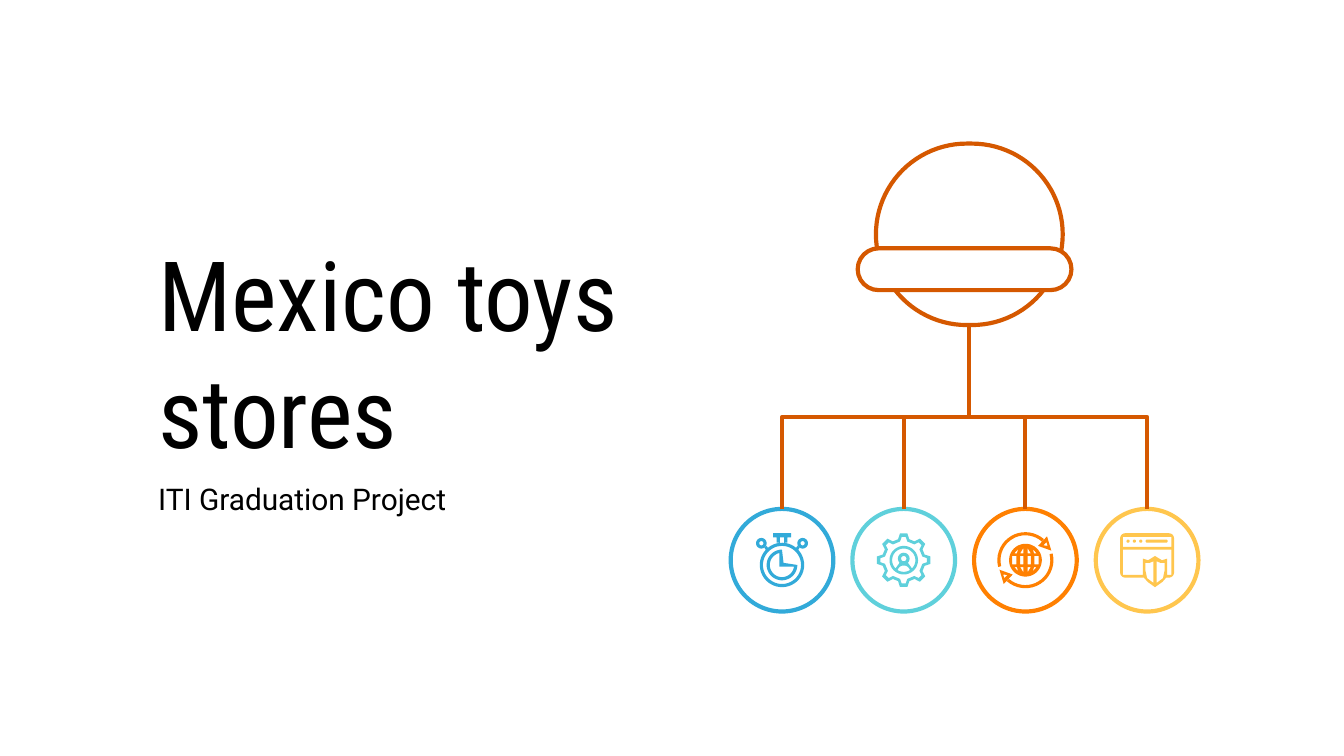
from dataclasses import dataclass
from itertools import product
from math import cos, radians, sin

from lxml.etree import SubElement
from pptx import Presentation
from pptx.dml.color import RGBColor
from pptx.enum.shapes import MSO_CONNECTOR, MSO_SHAPE
from pptx.enum.text import MSO_ANCHOR
from pptx.oxml.ns import qn
from pptx.util import Cm, Pt


@dataclass(frozen=True)
class Theme:
    ink: str = "000000"
    paper: str = "FFFFFF"
    root: str = "D55800"
    time: str = "32AAD9"
    gear: str = "5FD0DB"
    world: str = "FF8001"
    safety: str = "FFC64E"
    title_font: str = "Roboto Condensed"
    body_font: str = "Roboto"
    title_size: int = 52
    body_size: int = 16
    stroke: float = 2.25


def arc(cx, cy, radius, start=0, end=360):
    steps = max(4, round(abs(end - start) / 8))
    angles = [radians(start + (end - start) * i / steps) for i in range(steps + 1)]
    return [(cx + radius * cos(a), cy + radius * sin(a)) for a in angles]


def box(left, top, right, bottom):
    return [(left, top), (right, top), (right, bottom), (left, bottom)]


def cog(tip, tip_half, root, root_half):
    return [
        (r * cos(radians(tooth + turn)), r * sin(radians(tooth + turn)))
        for tooth in range(0, 360, 45)
        for r, turn in ((root, -root_half), (tip, -tip_half), (tip, tip_half), (root, root_half))
    ]


def flip(contour, sx=1, sy=1, dx=0):
    return [(sx * x + dx, sy * y) for x, y in contour]


def stopwatch():
    case = [arc(0, 0.09, 0.42), arc(0, 0.09, 0.36), box(-0.17, -0.51, 0.17, -0.43)]
    side = [
        arc(0.39, -0.32, 0.1),
        arc(0.39, -0.32, 0.04),
        [(0.29, -0.27), (0.33, -0.23), (0.31, -0.2), (0.27, -0.24)],
        box(0.04, -0.43, 0.1, -0.33),
    ]
    case += [flip(part, sx) for sx in (1, -1) for part in side]
    dial = [
        arc(0, 0.09, 0.29, 0, 270) + [(0.03, 0.05)],
        arc(0, 0.09, 0.23, 8, 258) + [(-0.05, 0.12)],
    ]
    return [case, dial]


def person_in_cog():
    person = [
        arc(0, 0, 0.27),
        arc(0, -0.03, 0.05),
        arc(0, 0, 0.22, 135, 405) + arc(0, -0.03, 0.11, 405, 135),
        arc(0, 0, 0.22, 55, 125) + arc(0, 0.22, 0.12, 200, 340),
    ]
    return [person, [cog(0.51, 8, 0.41, 15), cog(0.44, 5, 0.36, 11)]]


def globe_in_arrows():
    arrow = [
        arc(0, 0, 0.53, 166, 311) + arc(0, 0, 0.47, 311, 166),
        [(0.41, -0.45), (0.49, -0.18), (0.24, -0.27)],
        [(0.4, -0.34), (0.42, -0.27), (0.34, -0.28)],
    ]
    caps = [
        [(0.04, -0.23), (0.1, -0.13), (0.04, -0.13)],
        [(0.14, -0.21), (0.21, -0.13), (0.16, -0.13)],
    ]
    rows = [box(0.04, -0.08, 0.1, 0.08), box(0.17, -0.08, 0.25, 0.08)]
    globe = [arc(0, 0, 0.31)]
    globe += [flip(cap, sx, sy) for sx, sy in product((1, -1), repeat=2) for cap in caps]
    globe += [flip(cell, sx) for sx in (1, -1) for cell in rows]
    return [arrow, [flip(part, -1, -1) for part in arrow], globe]


def shielded_window():
    frame = (
        arc(-0.41, -0.41, 0.1, 180, 270)
        + arc(0.41, -0.41, 0.1, 270, 360)
        + arc(0.41, 0.23, 0.1, 0, 90)
        + [(0.36, 0.33), (0.29, 0.41), (0.15, 0.51), (0.01, 0.41), (-0.06, 0.33)]
        + arc(-0.41, 0.23, 0.1, 90, 180)
    )
    page = [
        (0.46, -0.2), (0.46, 0.28), (0.38, 0.28), (0.38, -0.03), (0.28, 0), (0.15, -0.08),
        (0.02, 0), (-0.08, -0.03), (-0.08, 0.28), (-0.46, 0.28), (-0.46, -0.2),
    ]
    half = [(0.12, 0.02), (0.12, 0.43), (0, 0.34), (-0.03, 0.2), (-0.03, 0.05), (0.05, 0.05)]
    return [[frame, box(-0.46, -0.44, 0.46, -0.25), page, half, flip(half, -1, dx=0.3)]]


class Deck:
    def __init__(self, theme):
        self.theme = theme
        self.deck = Presentation()
        self.deck.slide_width, self.deck.slide_height = Cm(25.4), Cm(14.29)
        self.slide = self.deck.slides.add_slide(self.deck.slide_layouts[6])

    def paint(self, shape, fill, line=None):
        shape.shadow.inherit = False
        shape.fill.solid()
        shape.fill.fore_color.rgb = RGBColor.from_string(fill)
        if line:
            shape.line.color.rgb = RGBColor.from_string(line)
            shape.line.width = Pt(self.theme.stroke)
        else:
            shape.line.fill.background()

    def text(self, left, top, width, height, words, font, size, anchor):
        frame = self.slide.shapes.add_textbox(Cm(left), Cm(top), Cm(width), Cm(height)).text_frame
        frame.word_wrap = True
        frame.vertical_anchor = anchor
        frame.margin_left = frame.margin_right = frame.margin_top = frame.margin_bottom = Cm(0.25)
        paragraph = frame.paragraphs[0]
        run = paragraph.add_run()
        run.text = words
        run.font.name, run.font.size = font, Pt(size)
        run.font.color.rgb = RGBColor.from_string(self.theme.ink)
        return paragraph

    def preset(self, kind, cx, cy, width, height, fill, line=None):
        shape = self.slide.shapes.add_shape(
            kind, Cm(cx - width / 2), Cm(cy - height / 2), Cm(width), Cm(height))
        if kind == MSO_SHAPE.ROUNDED_RECTANGLE:
            shape.adjustments[0] = 0.5
        self.paint(shape, fill, line)
        return shape

    def outline(self, cx, cy, contours, fill):
        placed = [[(Cm(cx + x), Cm(cy + y)) for x, y in contour] for contour in contours]
        builder = self.slide.shapes.build_freeform(*placed[0][0])
        builder.add_line_segments(placed[0][1:], close=True)
        for contour in placed[1:]:
            builder.move_to(*contour[0])
            builder.add_line_segments(contour[1:], close=True)
        self.paint(builder.convert_to_shape(), fill)

    def branch(self, parent, child):
        x1, y1 = parent.left + parent.width // 2, parent.top + parent.height
        x2, y2 = child.left + child.width // 2, child.top
        link = self.slide.shapes.add_connector(MSO_CONNECTOR.ELBOW, x1, y1, x2, y2)
        link.begin_connect(parent, 2)
        link.end_connect(child, 0)
        link.width, link.height = y2 - y1, abs(x2 - x1)
        link.left = (x1 + x2 - link.width) // 2
        link.top = (y1 + y2 - link.height) // 2
        rightward = x2 > x1
        frame = link.element.spPr.find(qn("a:xfrm"))
        frame.set("rot", "16200000" if rightward else "5400000")
        frame.set("flipH", "1" if rightward else "0")
        link.line.color.rgb = RGBColor.from_string(self.theme.root)
        link.line.width = Pt(self.theme.stroke)
        SubElement(link.element.spPr, qn("a:effectLst"))


def main():
    theme = Theme()
    cover = Deck(theme)
    cover.text(2.74, 4.52, 9.5, 4.24, "Mexico toys stores",
               theme.title_font, theme.title_size, MSO_ANCHOR.MIDDLE)
    subtitle = cover.text(2.74, 8.74, 10.24, 2.16, "ITI Graduation Project",
                          theme.body_font, theme.body_size, MSO_ANCHOR.TOP)
    subtitle.line_spacing = 1.15
    subtitle.space_after = Pt(16)

    first_x, step, leaf_y = 14.78, 2.3, 10.59
    topics = [
        (theme.time, stopwatch()),
        (theme.gear, person_in_cog()),
        (theme.world, globe_in_arrows()),
        (theme.safety, shielded_window()),
    ]
    centres = [first_x + step * i for i in range(len(topics))]
    leaves = [cover.preset(MSO_SHAPE.OVAL, x, leaf_y, 1.94, 1.94, theme.paper, colour)
              for x, (colour, _) in zip(centres, topics)]
    root = cover.preset(MSO_SHAPE.ROUNDED_RECTANGLE, 18.32, 4.43, 3.53, 3.43,
                        theme.paper, theme.root)
    cover.preset(MSO_SHAPE.ROUNDED_RECTANGLE, 18.23, 5.09, 4.04, 0.79, theme.paper, theme.root)
    for leaf in leaves:
        cover.branch(root, leaf)

    for x, (colour, pieces) in zip(centres, topics):
        for piece in pieces:
            cover.outline(x, leaf_y, piece, colour)
    for i in range(3):
        cover.preset(MSO_SHAPE.OVAL, centres[-1] - 0.36 + 0.12 * i, leaf_y - 0.36,
                     0.06, 0.06, theme.safety)
    cover.preset(MSO_SHAPE.ROUNDED_RECTANGLE, centres[-1] + 0.18, leaf_y - 0.36,
                 0.42, 0.06, theme.safety)
    cover.deck.save("out.pptx")


if __name__ == "__main__":
    main()
